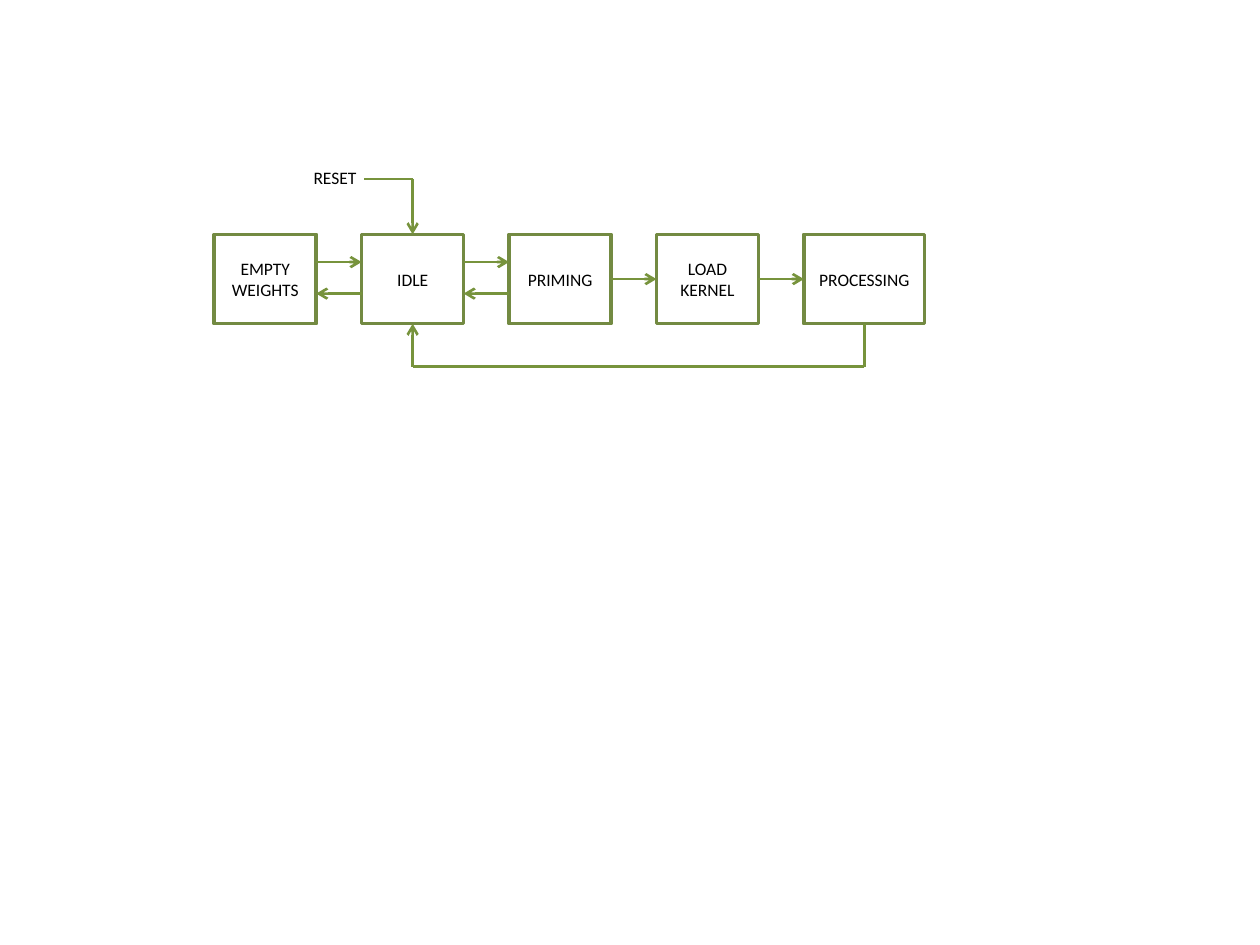
from typing import NamedTuple, Optional

from lxml import etree
from pptx import Presentation
from pptx.dml.color import RGBColor
from pptx.enum.shapes import MSO_CONNECTOR, MSO_SHAPE
from pptx.enum.text import MSO_ANCHOR, MSO_AUTO_SIZE, PP_ALIGN
from pptx.oxml.ns import qn
from pptx.util import Inches, Pt

RECT = MSO_SHAPE.RECTANGLE
STRAIGHT = MSO_CONNECTOR.STRAIGHT
MIDDLE = MSO_ANCHOR.MIDDLE
CENTER = PP_ALIGN.CENTER
GROW = MSO_AUTO_SIZE.SHAPE_TO_FIT_TEXT

BOX_GREEN = RGBColor(0x73, 0x8A, 0x42)
LINE_GREEN = RGBColor(0x77, 0x93, 0x3C)
BLACK = RGBColor(0, 0, 0)

# State row geometry, in inches
LEFT, PITCH = 1.7, 1.17
TOP, WIDTH, HEIGHT = 1.86, 0.81, 0.71
MID_Y, BOTTOM = TOP + HEIGHT / 2, TOP + HEIGHT
FORWARD_Y, BACK_Y = 2.08, 2.33
RESET_Y, RETURN_Y = 1.42, 2.91

# Connection sites of a rectangle
TOP_SIDE, LEFT_SIDE, BOTTOM_SIDE, RIGHT_SIDE = range(4)


class State(NamedTuple):
    name: str
    width: float = WIDTH


class Link(NamedTuple):
    x1: float
    y1: float
    x2: float
    y2: float
    arrow: bool = True
    begin: Optional[tuple] = None  # (state name, side)
    end: Optional[tuple] = None


STATES = [
    State("EMPTY WEIGHTS"),
    State("IDLE"),
    State("PRIMING"),
    State("LOAD KERNEL"),
    State("PROCESSING", 0.96),
]


def left_of(i: int) -> float:
    return LEFT + i * PITCH


def right_of(i: int) -> float:
    return left_of(i) + STATES[i].width


def center_of(i: int) -> float:
    return (left_of(i) + right_of(i)) / 2


def format_text(tf, text: str) -> None:
    tf.text = text
    font = tf.paragraphs[0].runs[0].font
    font.name = "Calibri"
    font.size = Pt(10)
    font.color.rgb = BLACK


def add_state(s, i: int, state: State):
    sp = s.shapes.add_shape(RECT, Inches(left_of(i)), Inches(TOP),
                            Inches(state.width), Inches(HEIGHT))
    sp.shadow.inherit = False
    sp.fill.background()
    sp.line.color.rgb = BOX_GREEN
    sp.line.width = Pt(2)
    tf = sp.text_frame
    tf.word_wrap = True
    tf.vertical_anchor = MIDDLE
    format_text(tf, state.name)
    tf.paragraphs[0].alignment = CENTER
    return sp


def add_link(s, link: Link, boxes: dict) -> None:
    cx = s.shapes.add_connector(STRAIGHT, Inches(link.x1), Inches(link.y1),
                                Inches(link.x2), Inches(link.y2))
    if link.begin:
        name, side = link.begin
        cx.begin_connect(boxes[name], side)
    if link.end:
        name, side = link.end
        cx.end_connect(boxes[name], side)
    cx.line.color.rgb = LINE_GREEN
    cx.line.width = Pt(1.5)
    if link.arrow:
        ln = cx.line._get_or_add_ln()
        etree.SubElement(ln, qn("a:tailEnd"), type="arrow")
    etree.SubElement(cx._element.spPr, qn("a:effectLst"))


def main() -> None:
    prs = Presentation()
    prs.slide_width, prs.slide_height = Inches(10), Inches(7.5)
    s = prs.slides.add_slide(prs.slide_layouts[6])

    # State boxes
    boxes = {state.name: add_state(s, i, state)
             for i, state in enumerate(STATES)}

    # One-way transitions to the next state
    links = [
        Link(right_of(i), MID_Y, left_of(i + 1), MID_Y,
             begin=(STATES[i].name, RIGHT_SIDE),
             end=(STATES[i + 1].name, LEFT_SIDE))
        for i in (2, 3)
    ]

    # Two-way transitions
    for i in (0, 1):
        links.append(Link(right_of(i), FORWARD_Y, left_of(i + 1), FORWARD_Y))
        links.append(Link(left_of(i + 1), BACK_Y, right_of(i), BACK_Y))

    # Return path from PROCESSING, and RESET path, both into IDLE
    idle_x, processing_x = center_of(1), center_of(4)
    links += [
        Link(processing_x, BOTTOM, processing_x, RETURN_Y, arrow=False,
             begin=("PROCESSING", BOTTOM_SIDE)),
        Link(processing_x, RETURN_Y, idle_x, RETURN_Y, arrow=False),
        Link(idle_x, RETURN_Y, idle_x, BOTTOM, end=("IDLE", BOTTOM_SIDE)),
        Link(2.89, RESET_Y, idle_x, RESET_Y, arrow=False),
        Link(idle_x, RESET_Y, idle_x, TOP, end=("IDLE", TOP_SIDE)),
    ]
    for link in links:
        add_link(s, link, boxes)

    # Reset label
    tb = s.shapes.add_textbox(Inches(2.39), Inches(1.28),
                              Inches(0.58), Inches(0.27))
    tf = tb.text_frame
    tf.word_wrap = False
    tf.auto_size = GROW
    format_text(tf, "RESET")

    prs.save("out.pptx")


if __name__ == "__main__":
    main()
